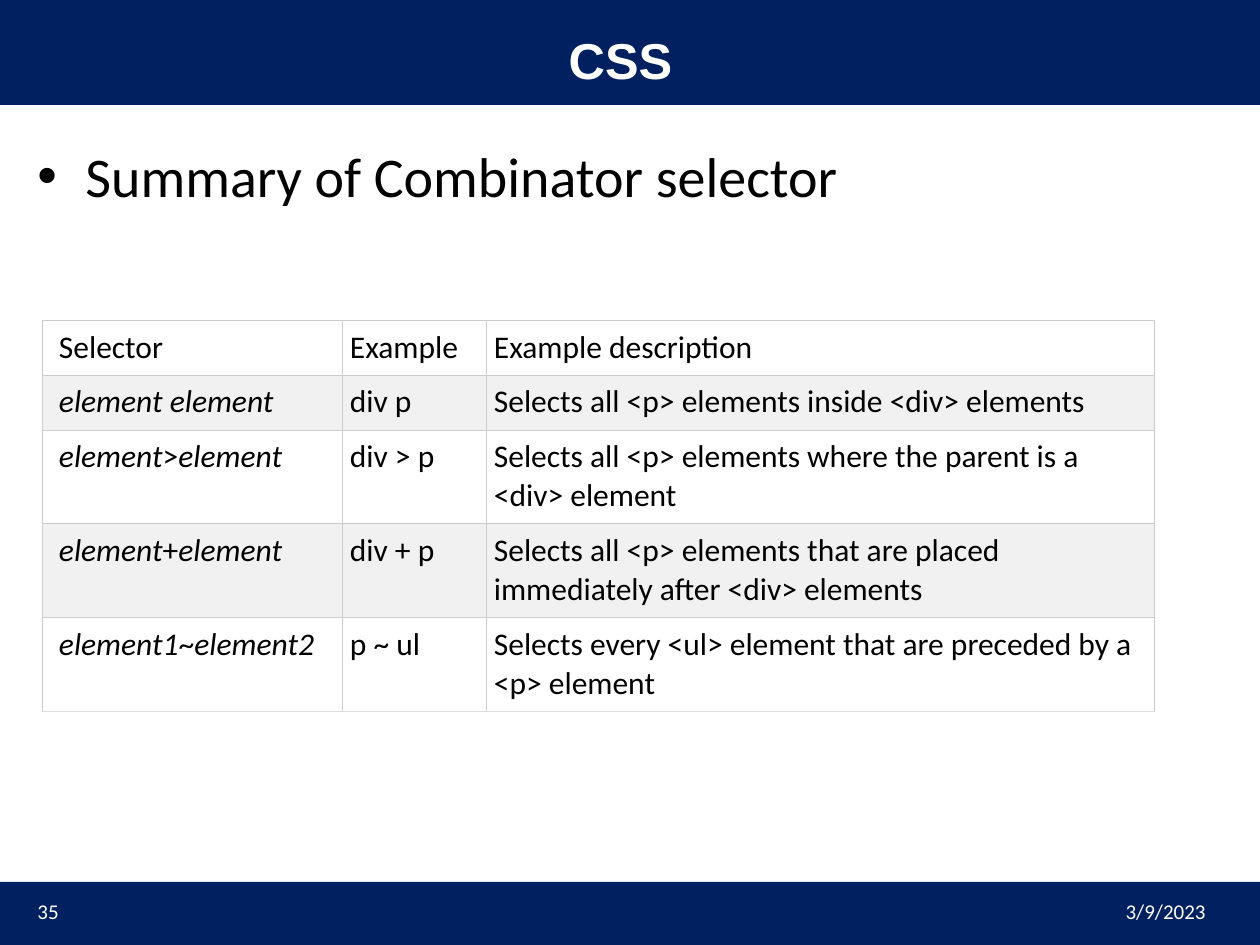
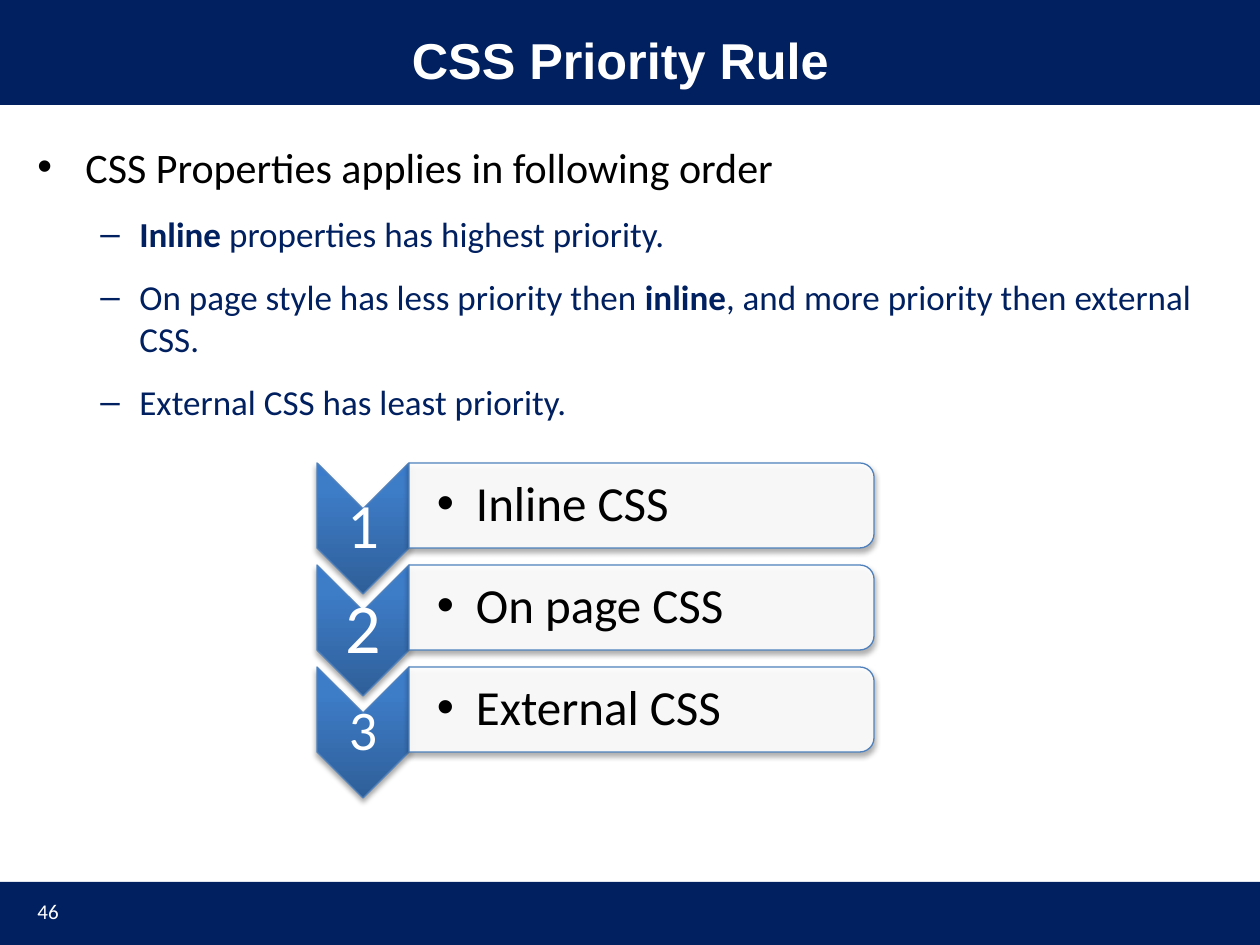
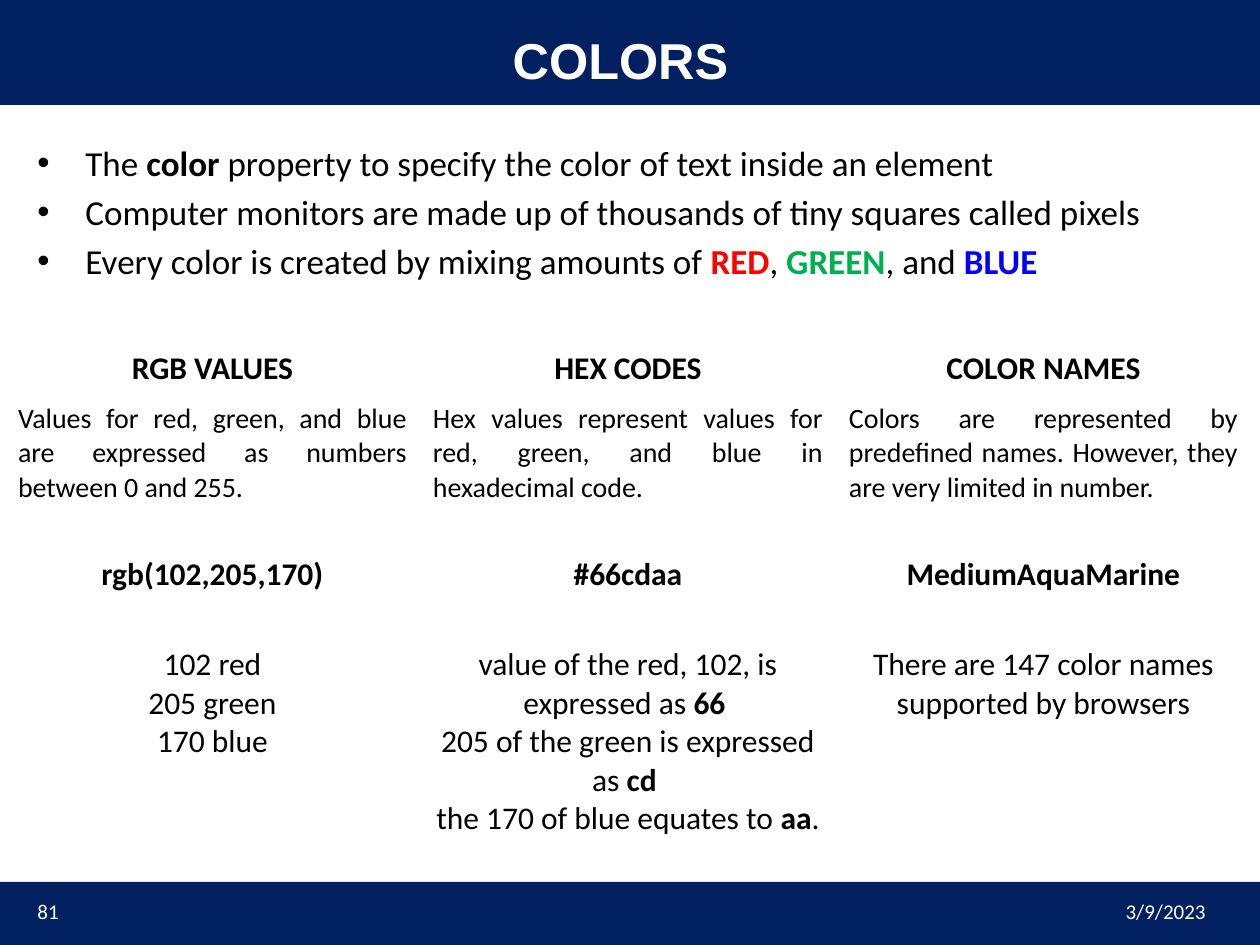
from dataclasses import dataclass

from lxml.etree import SubElement as Sub
from pptx import Presentation
from pptx.dml.color import RGBColor as Rgb
from pptx.enum.shapes import MSO_SHAPE as Kind
from pptx.enum.text import MSO_ANCHOR as Anchor, PP_ALIGN as Align
from pptx.oxml import parse_xml
from pptx.oxml.ns import nsdecls, qn
from pptx.util import Emu, Pt


@dataclass(frozen=True)
class Theme:
    navy: str = "002060"
    white: str = "FFFFFF"
    ink: str = "000000"
    red: str = "FF0000"
    green: str = "00B050"
    pure: str = "0000FF"
    blue: str = "4F81BD"
    stripe: str = "F1F1F1"
    rule: str = "CCCCCC"
    base: str = "DDDDDD"
    grad: tuple = ((0, "2F5F99"), (80, "3D7CC7"), (100, "3A7CCB"))
    head: str = "Arial"
    text: str = "Calibri"
    title: float = 28.8
    lead: int = 32
    point: int = 24
    sub: int = 20
    foot: int = 12
    cell: int = 18
    note: int = 16
    step: int = 28


T = Theme()
SCALE = 914400 / 126
WIDE, HIGH = 1260, 945
LEFT = 25
DATE = "3/9/2023"

# Bullet mark, text indent, hang and text colour of each body level
LEVELS = (("•", 48, 48, T.ink), ("–", 102, 39, T.navy))


def px(n):
    return Emu(round(n * SCALE))


def rgb(ink):
    return Rgb.from_string(ink)


# Text

def bold(words, ink=T.ink):
    return words, {"bold": True, "ink": ink}


def strong(words):
    """Mark words as bold in the colour of their paragraph."""
    return words, {"bold": True}


def slant(words):
    return words, {"italic": True}


def put(para, runs, size, **base):
    """Add runs, each a string or a (string, style) pair, over a base style."""
    for run in runs:
        words, own = (run, {}) if isinstance(run, str) else run
        look = {"ink": T.ink, "face": T.text, **base, **own}
        part = para.add_run()
        part.text = words
        font = part.font
        font.name, font.size = look["face"], Pt(size)
        font.bold = look.get("bold", False)
        font.italic = look.get("italic", False)
        font.color.rgb = rgb(look["ink"])


def bullet(para, mark, left, hang):
    prop = para._p.get_or_add_pPr()
    prop.set("marL", str(px(left)))
    prop.set("indent", str(px(-hang)))
    Sub(prop, qn("a:buFont")).set("typeface", T.head)
    Sub(prop, qn("a:buChar")).set("char", mark)


def paras(frame):
    """Yield the first paragraph of the frame, then new ones on demand."""
    yield frame.paragraphs[0]
    while True:
        yield frame.add_paragraph()


def pad(item, left, top, right, bottom):
    item.margin_left, item.margin_top = px(left), px(top)
    item.margin_right, item.margin_bottom = px(right), px(bottom)


def box(slide, x, y, w, h, anchor=Anchor.MIDDLE):
    frame = slide.shapes.add_textbox(px(x), px(y), px(w), px(h)).text_frame
    frame.word_wrap = True
    frame.vertical_anchor = anchor
    return frame


def label(slide, area, words, size, align, **look):
    para = box(slide, *area).paragraphs[0]
    para.alignment = align
    put(para, [words], size, ink=T.white, **look)


def body(slide, items, before=0, after=0):
    """Fill the body with (level, size, runs) items."""
    frame = box(slide, LEFT, 135, 1193, 735, Anchor.TOP)
    for i, (item, para) in enumerate(zip(items, paras(frame))):
        level, size, runs = item
        mark, left, hang, ink = LEVELS[level]
        para.space_before = Pt(before if i else 0)
        para.space_after = Pt(after)
        bullet(para, mark, left, hang)
        put(para, runs, size, ink=ink)


# Page frame

def band(slide, x, y, w, h):
    bar = slide.shapes.add_shape(Kind.RECTANGLE, px(x), px(y), px(w), px(h))
    bar.shadow.inherit = False
    bar.fill.solid()
    bar.fill.fore_color.rgb = rgb(T.navy)
    bar.line.fill.background()


def page(deck, title, num, date=""):
    """Add a slide with its bands, title and footer."""
    slide = deck.slides.add_slide(deck.slide_layouts[6])
    band(slide, 0, -4, WIDE, 109)
    band(slide, -5, 882, WIDE + 5, 65)
    label(slide, (LEFT, 26, 1191, 67), title, T.title, Align.CENTER,
          face=T.head, bold=True)
    label(slide, (LEFT, 886, 294, 50), num, T.foot, Align.LEFT)
    if date:
        label(slide, (924, 886, 294, 50), date, T.foot, Align.RIGHT)
    return slide


# Tables

def grid(slide, x, y, cols, rows):
    """Add a plain table with the given column widths and row heights."""
    table = slide.shapes.add_table(len(rows), len(cols), px(x), px(y),
                                   px(sum(cols)), px(sum(rows))).table
    table.first_row = table.horz_banding = False
    for col, width in zip(table.columns, cols):
        col.width = px(width)
    for row, height in zip(table.rows, rows):
        row.height = px(height)
    return table


def edge(cell, base):
    """Rule all sides of a cell, the bottom one in the base colour."""
    prop = cell._tc.get_or_add_tcPr()
    for side in "LRTB":
        ink = base if side == "B" else T.rule
        prop.append(parse_xml(
            f'<a:ln{side} {nsdecls("a")} w="7620"><a:solidFill>'
            f'<a:srgbClr val="{ink}"/></a:solidFill></a:ln{side}>'))


def rules(slide, data):
    """Draw the ruled and striped table of selectors."""
    short, tall, gap = 55, 94, 8
    table = grid(slide, 42, 320, (300, 144, 668),
                 (short, short, tall, tall, tall))
    last = len(data) - 1
    for r, row in enumerate(data):
        for c, runs in enumerate(row):
            cell = table.cell(r, c)
            pad(cell, gap if c else 17, gap, gap, gap)
            edge(cell, T.base if r == last else T.rule)
            cell.fill.solid()
            cell.fill.fore_color.rgb = rgb(T.stripe if r % 2 else T.white)
            put(cell.text_frame.paragraphs[0], runs, T.cell)


def trio(slide, data):
    """Draw the open table: heads, notes, codes and details."""
    side, near, far = 13, 6, 44
    forms = (  # height, top margin, size, alignment, bold
        (52, near, T.cell, Align.CENTER, True),
        (116, near, T.note, Align.JUSTIFY, False),
        (90, far, T.cell, Align.CENTER, True),
        (237, far, T.cell, Align.CENTER, False),
    )
    table = grid(slide, 5, 344, (415, 416, 415), [form[0] for form in forms])
    for r, (row, form) in enumerate(zip(data, forms)):
        _, top, size, align, heavy = form
        for c, lines in enumerate(row):
            cell = table.cell(r, c)
            cell.fill.background()
            pad(cell, side, top, side, near)
            for runs, para in zip(lines, paras(cell.text_frame)):
                para.alignment = align
                put(para, runs, size, bold=heavy)


# Chevron list

def turned(slide, kind, x, y, w, h):
    """Add a shape turned by 90 degrees that covers the given area."""
    left, top = x + (w - h) / 2, y + (h - w) / 2
    shape = slide.shapes.add_shape(kind, px(left), px(top), px(h), px(w))
    shape.rotation = 90
    shape.line.color.rgb = rgb(T.blue)
    shape.line.width = Pt(0.75)
    shape.fill.solid()
    shape.fill.fore_color.rgb = rgb(T.white)
    shape._element.spPr.append(parse_xml(
        f'<a:effectLst {nsdecls("a")}><a:outerShdw blurRad="39370" '
        'dist="22860" dir="5400000" rotWithShape="0"><a:srgbClr val="000000">'
        '<a:alpha val="35000"/></a:srgbClr></a:outerShdw></a:effectLst>'))
    return shape


def shade(shape):
    """Swap the solid fill for the theme's gradient."""
    stops = "".join(f'<a:gs pos="{at * 1000}"><a:srgbClr val="{ink}"/></a:gs>'
                    for at, ink in T.grad)
    prop = shape._element.spPr
    prop.replace(prop.find(qn("a:solidFill")), parse_xml(
        f'<a:gradFill {nsdecls("a")} rotWithShape="0"><a:gsLst>{stops}'
        '</a:gsLst><a:lin ang="16200000" scaled="0"/></a:gradFill>'))


def fade(shape, part):
    """Make the solid fill opaque by the given percentage."""
    tint = shape._element.spPr.find(qn("a:solidFill"))[0]
    Sub(tint, qn("a:alpha")).set("val", str(part * 1000))


def tight(frame):
    """Return the first paragraph, set with narrow lines."""
    para = frame.paragraphs[0]
    para.line_spacing = 0.9
    return para


def step(slide, y, num, size, words):
    """Draw one numbered chevron with its bar."""
    left, width = 317, 92
    edge_x = left + width

    shade(turned(slide, Kind.CHEVRON, left, y, width, 131))
    frame = box(slide, left, y + 46, width, 39)
    pad(frame, 4, 4, 4, 4)
    para = tight(frame)
    para.alignment = Align.CENTER
    put(para, [num], size, ink=T.white)

    fade(turned(slide, Kind.ROUND_2_SAME_RECTANGLE, edge_x, y, 465, 85), 90)
    frame = box(slide, edge_x, y + 4, 461, 77)
    pad(frame, 28, 2, 2, 2)
    para = tight(frame)
    bullet(para, "•", 39, 39)
    put(para, [words], T.step)


# Slides

def pair(one, sign, two):
    return [slant(one), sign, slant(two)]


def joins(deck):
    slide = page(deck, "CSS", "35", DATE)
    body(slide, [(0, T.lead, ["Summary of Combinator selector"])])
    rules(slide, [
        (["Selector"], ["Example"], ["Example description"]),
        ([slant("element element")], ["div p"],
         ["Selects all <p> elements inside <div> elements"]),
        (pair("element", ">", "element"), ["div > p"],
         ["Selects all <p> elements where the parent is a <div> element"]),
        (pair("element", "+", "element"), ["div + p"],
         ["Selects all <p> elements that are placed immediately after "
          "<div> elements"]),
        (pair("element1", "~", "element2"), ["p ~ ul"],
         ["Selects every <ul> element that are preceded by a <p> element"]),
    ])


def ranks(deck):
    slide = page(deck, "CSS Priority Rule", "46")
    body(slide, [
        (0, T.point, ["CSS Properties applies in following order"]),
        (1, T.sub, [strong("Inline"), " properties has highest priority."]),
        (1, T.sub, ["On page style has less priority then ",
                    strong("inline"),
                    ", and more priority then external CSS."]),
        (1, T.sub, ["External CSS has least priority."]),
    ], after=12)
    top, pitch = 463, 102
    steps = ((36, "Inline CSS"), (40, "On page CSS"), (32, "External CSS"))
    for i, (size, words) in enumerate(steps):
        step(slide, top + pitch * i, str(i + 1), size, words)


def colors(deck):
    slide = page(deck, "COLORS", "81", DATE)
    body(slide, [
        (0, T.sub, ["The ", strong("color "),
                    "property to specify the color of text inside an "
                    "element"]),
        (0, T.sub, ["Computer monitors are made up of thousands of tiny "
                    "squares called pixels"]),
        (0, T.sub, ["Every color is created by mixing amounts of ",
                    bold("RED", T.red), ", ", bold("GREEN", T.green),
                    ", and ", bold("BLUE", T.pure)]),
    ], before=4)
    trio(slide, [
        ([["RGB VALUES"]], [["HEX CODES"]], [["COLOR NAMES"]]),
        ([["Values for red, green, and blue are expressed as numbers between "
           "0 and 255."]],
         [["Hex values represent values for red, green, and blue in "
           "hexadecimal code."]],
         [["Colors are represented by predefined names. However, they are "
           "very limited in number."]]),
        ([["rgb(102,205,170)"]], [["#66cdaa"]], [["MediumAquaMarine"]]),
        ([["102 red"], ["205 green"], ["170 blue"]],
         [["value of the red, 102, is"],
          ["expressed as ", strong("66 ")],
          ["205 of the green is expressed as ", strong("cd ")],
          ["the 170 of blue equates to ", strong("aa"), "."]],
         [["There are 147 color names"], ["supported by browsers"]]),
    ])


def main():
    deck = Presentation()
    deck.slide_width, deck.slide_height = px(WIDE), px(HIGH)
    for build in (joins, ranks, colors):
        build(deck)
    deck.save("out.pptx")


if __name__ == "__main__":
    main()
